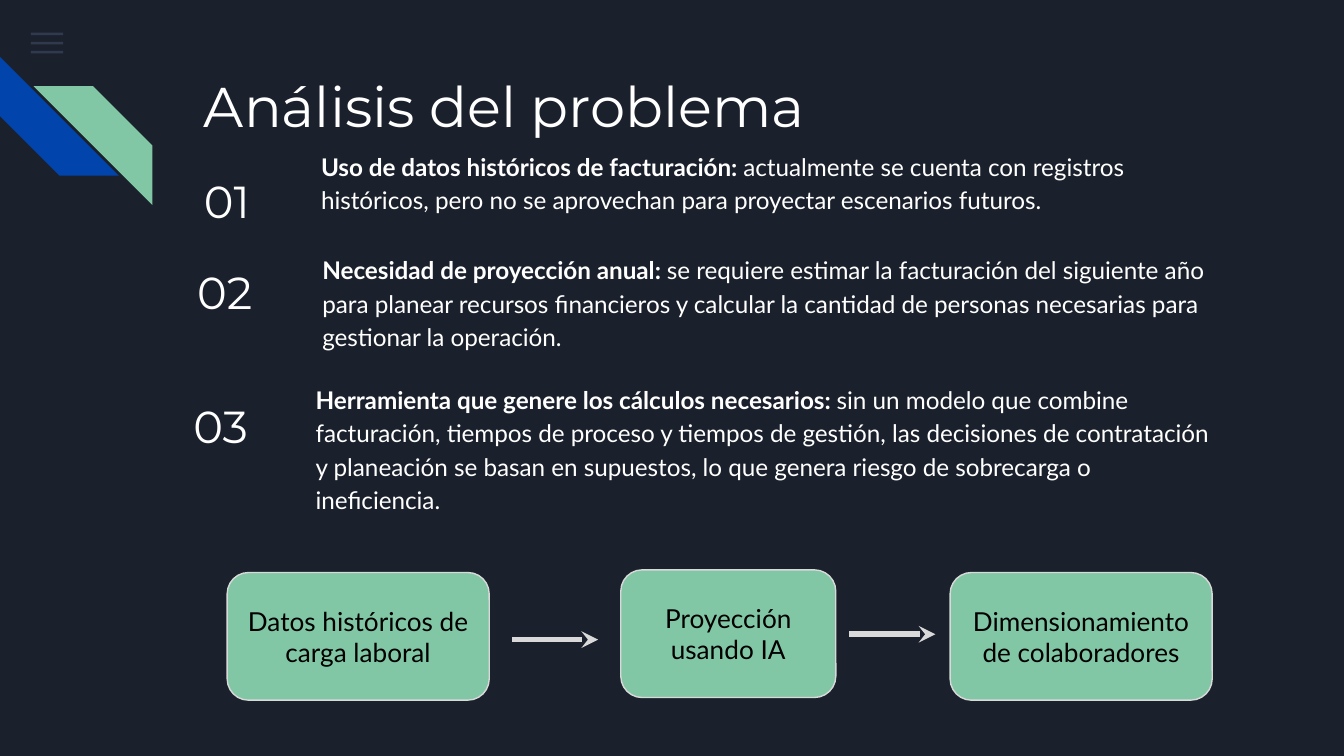
from lxml.etree import SubElement
from pptx import Presentation
from pptx.dml.color import RGBColor
from pptx.enum.shapes import MSO_CONNECTOR, MSO_SHAPE
from pptx.enum.text import MSO_ANCHOR, PP_ALIGN
from pptx.oxml.ns import qn
from pptx.util import Pt

WHITE, GREEN, BLUE, GRAY = "FFFFFF", "82C7A5", "0145AC", "D9D9D9"
INSET = 7.2

# number left, number top, text left, text top, text height, heading, detail
POINTS = [
    (102.2, 85.7, 164.9, 72, 63.4, "Uso de datos históricos de facturación:",
     " actualmente se cuenta con registros históricos, pero no se aprovechan "
     "para proyectar escenarios futuros."),
    (98.6, 134.6, 165.6, 127.4, 85, "Necesidad de proyección anual:",
     " se requiere estimar la facturación del siguiente año para planear "
     "recursos financieros y calcular la cantidad de personas necesarias "
     "para gestionar la operación."),
    (96.5, 206.6, 162, 196.6, 63.4,
     "Herramienta que genere los cálculos necesarios:",
     " sin un modelo que combine facturación, tiempos de proceso y tiempos "
     "de gestión, las decisiones de contratación y planeación se basan en "
     "supuestos, lo que genera riesgo de sobrecarga o ineficiencia."),
]
# left, top, width, label
STEPS = [
    (121.7, 306.7, 140.4, "Datos históricos de carga laboral"),
    (332.6, 305.3, 115.2, "Proyección usando IA"),
    (509, 306.7, 140.4, "Dimensionamiento de colaboradores"),
]
ARROWS = [(274.3, 342.7), (455, 339.8)]


def rgb(code):
    return RGBColor.from_string(code)


def style(run, font, size, color, bold=False):
    run.font.name = font
    run.font.size = Pt(size)
    run.font.bold = bold
    run.font.color.rgb = rgb(color)


def inset(frame):
    frame.word_wrap = True
    frame.margin_left = frame.margin_right = Pt(INSET)
    frame.margin_top = frame.margin_bottom = Pt(INSET)


def add_text(slide, box, parts, font, size, space=1.0):
    """Add a one-paragraph text box; parts are (text, bold) pairs."""
    frame = slide.shapes.add_textbox(*map(Pt, box)).text_frame
    inset(frame)
    para = frame.paragraphs[0]
    para.line_spacing = space
    for text, bold in parts:
        run = para.add_run()
        run.text = text
        style(run, font, size, WHITE, bold)


def add_form(slide, kind, box, color):
    form = slide.shapes.add_shape(kind, *map(Pt, box))
    form.shadow.inherit = False
    form.fill.solid()
    form.fill.fore_color.rgb = rgb(color)
    form.line.fill.background()
    return form


def add_menu(slide):
    for row in range(3):
        bar = add_form(slide, MSO_SHAPE.RECTANGLE,
                       (16.6, 17.5 + row * 4.9, 17.3, 1.4), "55688B")
        tint = bar.fill._xPr.find(".//" + qn("a:srgbClr"))
        SubElement(tint, qn("a:alpha")).set("val", "36000")


def add_stripes(slide):
    kind = MSO_SHAPE.DIAGONAL_STRIPE
    blue = add_form(slide, kind, (0, 30.4, 63.7, 63.7), BLUE)
    blue.rotation = 270
    green = add_form(slide, kind, (18, 46.2, 63.7, 63.7), GREEN)
    green._element.spPr.find(qn("a:xfrm")).set("flipH", "1")


def add_step(slide, left, top, width, label):
    card = add_form(slide, MSO_SHAPE.ROUNDED_RECTANGLE,
                    (left, top, width, 68.4), GREEN)
    card.line.color.rgb = rgb(GRAY)
    card.line.width = Pt(0.75)
    frame = card.text_frame
    inset(frame)
    frame.vertical_anchor = MSO_ANCHOR.MIDDLE
    frame.text = label
    para = frame.paragraphs[0]
    para.alignment = PP_ALIGN.CENTER
    style(para.runs[0], "Lato", 14, "000000")


def add_arrow(slide, left, top):
    arrow = slide.shapes.add_connector(
        MSO_CONNECTOR.STRAIGHT, Pt(left), Pt(top), Pt(left + 46.1), Pt(top))
    arrow.line.color.rgb = rgb(GRAY)
    arrow.line.width = Pt(3)
    SubElement(arrow.line._get_or_add_ln(), qn("a:tailEnd")).set(
        "type", "stealth")
    SubElement(arrow._element.spPr, qn("a:effectLst"))


def main():
    deck = Presentation()
    deck.slide_width, deck.slide_height = Pt(720), Pt(405)
    slide = deck.slides.add_slide(deck.slide_layouts[6])
    slide.background.fill.solid()
    slide.background.fill.fore_color.rgb = rgb("1B212C")

    add_menu(slide)
    add_stripes(slide)
    add_text(slide, (102.2, 31, 554.4, 72),
             [("Análisis del problema", False)], "Montserrat", 30)
    for num, point in enumerate(POINTS, 1):
        num_x, num_y, left, top, height, head, detail = point
        add_text(slide, (num_x, num_y, 57.6, 63.4),
                 [(f"{num:02}", False)], "Montserrat", 24)
        add_text(slide, (left, top, 493.2, height),
                 [(head, True), (detail, False)], "Lato", 13, 1.15)
    for step in STEPS:
        add_step(slide, *step)
    for arrow in ARROWS:
        add_arrow(slide, *arrow)
    deck.save("out.pptx")


if __name__ == "__main__":
    main()
